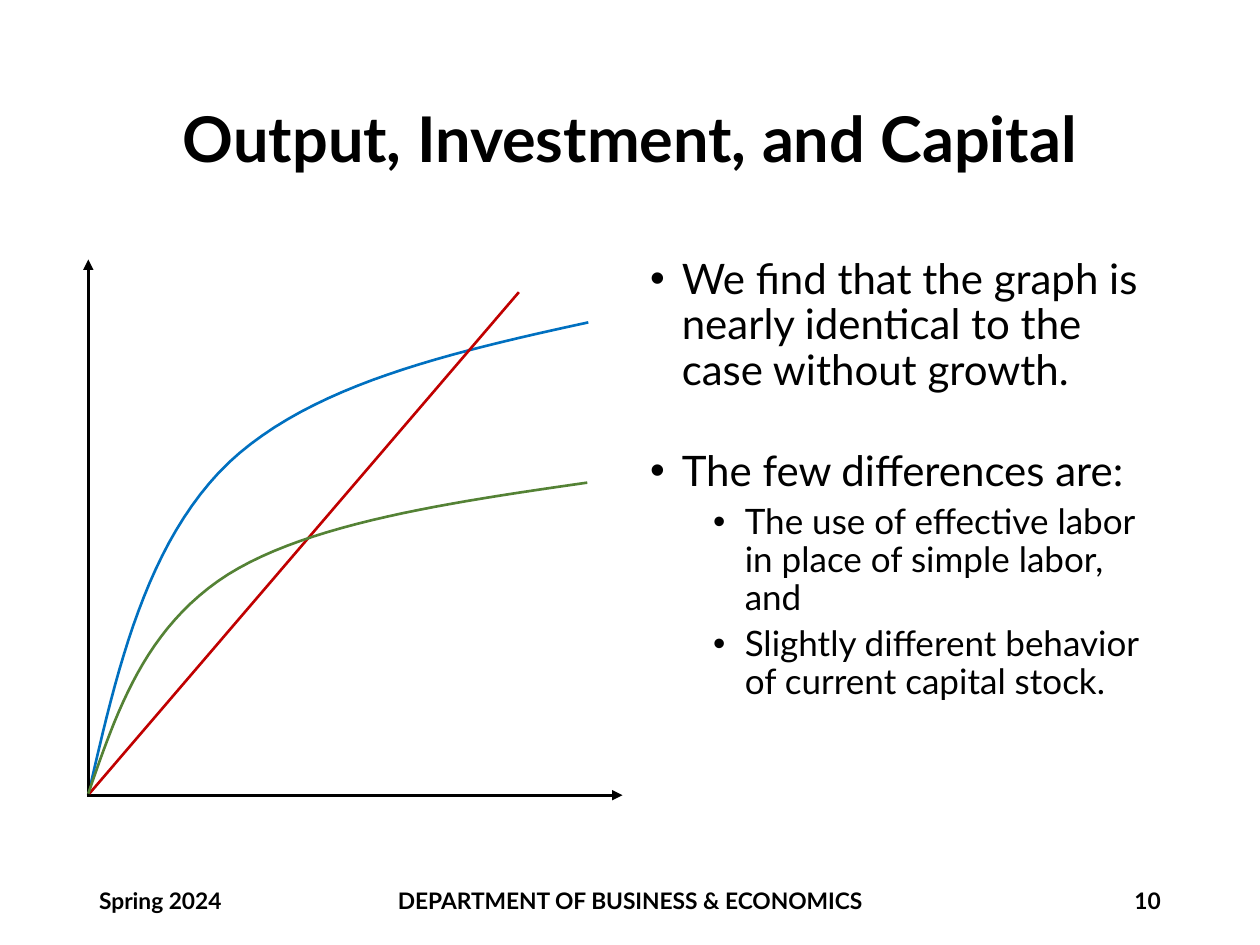
from dataclasses import dataclass

from lxml.etree import SubElement
from pptx import Presentation
from pptx.dml.color import RGBColor
from pptx.enum.shapes import MSO_CONNECTOR as Conn
from pptx.enum.text import MSO_ANCHOR as Anchor, MSO_AUTO_SIZE as Fit, PP_ALIGN as Align
from pptx.oxml.ns import qn
from pptx.util import Cm, Pt

BLACK = RGBColor(0x00, 0x00, 0x00)
BLUE = RGBColor(0x00, 0x70, 0xC0)
GREEN = RGBColor(0x54, 0x82, 0x35)
RED = RGBColor(0xC0, 0x00, 0x00)
FACE = "Lato"
STEPS = 24

Point = tuple[float, float]


@dataclass
class Line:
    start: Point
    end: Point
    color: RGBColor = BLACK
    arrow: bool = False


@dataclass
class Curve:
    """Bezier points: a start, then three for each piece."""
    points: list[Point]
    color: RGBColor


@dataclass
class Item:
    text: str
    level: int
    size: int
    before: int


@dataclass
class Foot:
    text: str
    left: float
    width: float
    align: Align


CURVES = [
    Curve([(1.78, 16.03), (2.36, 13.49), (2.95, 10.92), (4.62, 9.32),
           (6.3, 7.75), (9.07, 7.11), (11.86, 6.5)], BLUE),
    Curve([(1.78, 16), (2.36, 14.33), (2.92, 12.65), (4.6, 11.58),
           (6.27, 10.54), (9.07, 10.13), (11.84, 9.73)], GREEN),
]
LINES = [
    Line((1.75, 16.03), (12.55, 16.03), arrow=True),
    Line((1.78, 16.03), (1.78, 5.23), arrow=True),
    Line((1.8, 16), (10.46, 5.89), RED),
]
ITEMS = [
    Item("We find that the graph is nearly identical to the case without growth.", 0, 24, 0),
    Item("The few differences are:", 0, 24, 32),
    Item("The use of effective labor in place of simple labor, and", 1, 20, 5),
    Item("Slightly different behavior of current capital stock.", 1, 20, 5),
]
FEET = [
    Foot("Spring 2024", 1.75, 5.72, Align.LEFT),
    Foot("DEPARTMENT OF BUSINESS & ECONOMICS", 4.7, 16, Align.CENTER),
    Foot("10", 17.93, 5.72, Align.RIGHT),
]


def place(shape, left: float, top: float, width: float, height: float) -> None:
    shape.left, shape.top = Cm(left), Cm(top)
    shape.width, shape.height = Cm(width), Cm(height)


def style(para, size: int, bold: bool = False) -> None:
    for run in para.runs:
        font = run.font
        font.name, font.size, font.bold = FACE, Pt(size), bold
        font.color.rgb = BLACK


def add_title(slide) -> None:
    title = slide.shapes.title
    place(title, 1.75, 1.02, 21.9, 3.68)
    frame = title.text_frame
    frame.text = "Output, Investment, and Capital"
    frame.auto_size, frame.vertical_anchor = Fit.NONE, Anchor.MIDDLE
    para = frame.paragraphs[0]
    para.alignment, para.line_spacing = Align.CENTER, 0.9
    style(para, 36, True)


def add_bullet(para, level: int) -> None:
    props = para._p.get_or_add_pPr()
    props.set("marL", str(Cm(0.64 + 1.27 * level)))
    props.set("indent", str(-Cm(0.64)))
    SubElement(props, qn("a:buFont")).set("typeface", "Arial")
    SubElement(props, qn("a:buChar")).set("char", "•")


def add_list(slide, items: list[Item]) -> None:
    body = slide.placeholders[1]
    place(body, 12.85, 5.08, 10.8, 12.09)
    frame = body.text_frame
    frame.auto_size, frame.vertical_anchor = Fit.NONE, Anchor.TOP
    for i, item in enumerate(items):
        para = frame.add_paragraph() if i else frame.paragraphs[0]
        para.text, para.level = item.text, item.level
        add_bullet(para, item.level)
        para.line_spacing, para.space_before = 0.9, Pt(item.before)
        style(para, item.size)


def add_foot(slide, foot: Foot) -> None:
    box = slide.shapes.add_textbox(Cm(foot.left), Cm(17.65), Cm(foot.width), Cm(1.02))
    frame = box.text_frame
    frame.text, frame.word_wrap = foot.text, True
    frame.vertical_anchor = Anchor.MIDDLE
    para = frame.paragraphs[0]
    para.alignment = foot.align
    style(para, 13, True)


def blend(a: Point, b: Point, c: Point, d: Point, t: float) -> tuple[int, int]:
    """Point at t on a cubic Bezier, in EMU."""
    u = 1 - t
    x, y = (u**3 * p + 3 * u * u * t * q + 3 * u * t * t * r + t**3 * s
            for p, q, r, s in zip(a, b, c, d))
    return Cm(x), Cm(y)


def add_curve(slide, curve: Curve) -> None:
    pts = curve.points
    path = [blend(*pts[i:i + 4], n / STEPS)
            for i in range(0, len(pts) - 1, 3) for n in range(1, STEPS + 1)]
    x, y = pts[0]
    pen = slide.shapes.build_freeform(Cm(x), Cm(y))
    pen.add_line_segments(path, close=False)
    shape = pen.convert_to_shape()
    shape.shadow.inherit = False
    shape.fill.background()
    shape.line.color.rgb, shape.line.width = curve.color, Pt(1.5)


def add_line(slide, line: Line) -> None:
    ends = [Cm(v) for v in line.start + line.end]
    shape = slide.shapes.add_connector(Conn.STRAIGHT, *ends)
    shape.line.color.rgb, shape.line.width = line.color, Pt(1.5)
    props = shape._element.spPr
    if line.arrow:
        SubElement(props.find(qn("a:ln")), qn("a:tailEnd")).set("type", "triangle")
    SubElement(props, qn("a:effectLst"))


def main() -> None:
    deck = Presentation()
    deck.slide_width, deck.slide_height = Cm(25.4), Cm(19.05)
    slide = deck.slides.add_slide(deck.slide_layouts[1])
    add_title(slide)
    add_list(slide, ITEMS)
    for foot in FEET:
        add_foot(slide, foot)
    blue, green = CURVES
    add_curve(slide, blue)
    for line in LINES:
        add_line(slide, line)
    add_curve(slide, green)
    deck.save("out.pptx")


if __name__ == "__main__":
    main()
